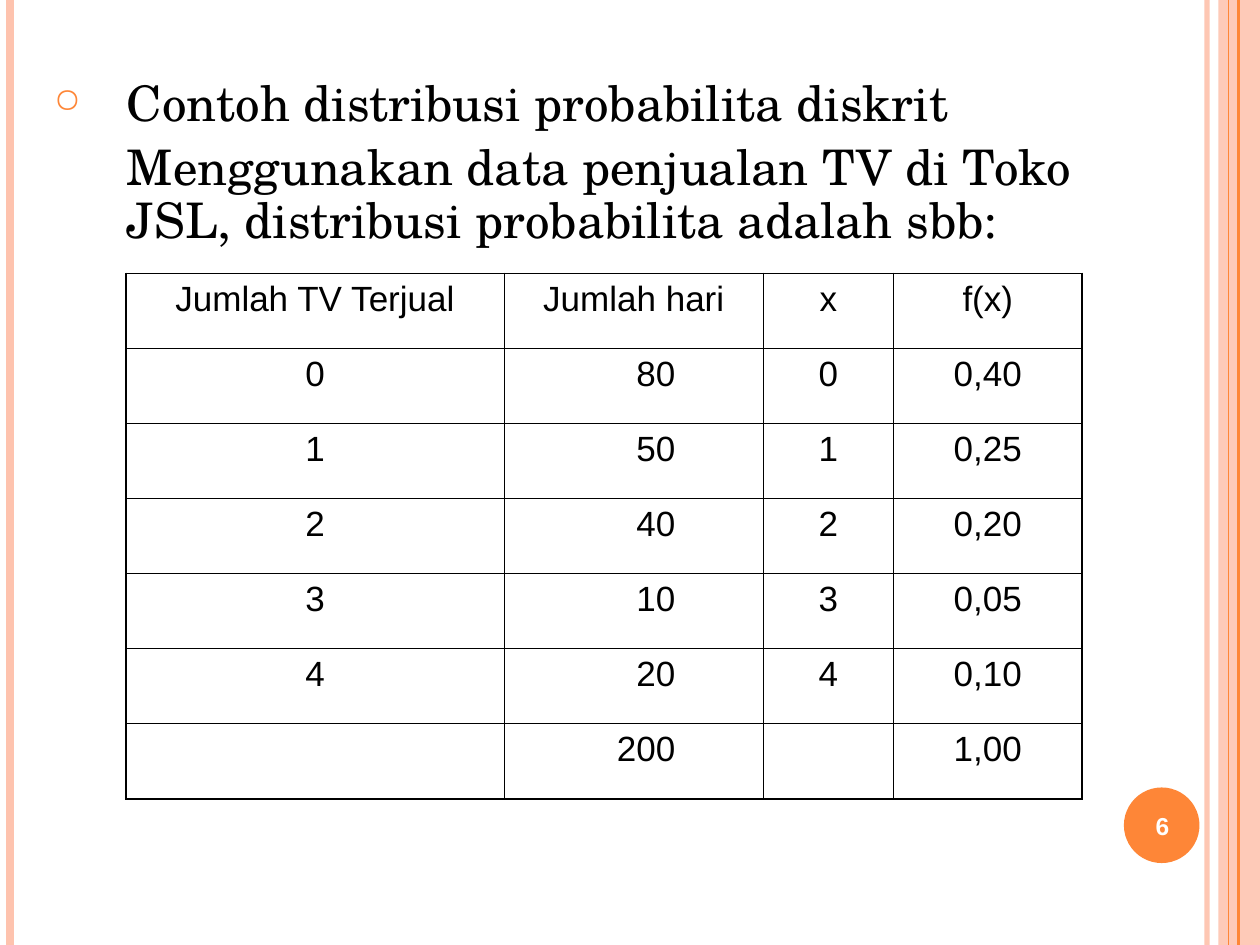
import pptx
import pptx.util
import pptx.dml.color
import pptx.enum.shapes
import pptx.enum.text
import pptx.oxml
import pptx.oxml.ns

Inches = pptx.util.Inches
Pt = pptx.util.Pt
Align = pptx.enum.text.PP_ALIGN
Shape = pptx.enum.shapes.MSO_SHAPE
qn = pptx.oxml.ns.qn


def color(hex_value):
    return pptx.dml.color.RGBColor.from_string(hex_value)


def add_xml(parent, tag, content="", attributes=""):
    namespace = pptx.oxml.ns.nsdecls("a")
    parent.append(pptx.oxml.parse_xml(f"<a:{tag} {namespace} {attributes}>{content}</a:{tag}>"))


presentation = pptx.Presentation()
presentation.slide_width = Inches(10)
presentation.slide_height = Inches(7.5)
width, height = presentation.slide_width, presentation.slide_height
slide = presentation.slides.add_slide(presentation.slide_layouts[6])
shapes = slide.shapes

band = shapes.add_shape(Shape.RECTANGLE, Inches(9.67), 0, width - Inches(9.67), height)
badge = shapes.add_shape(Shape.OVAL, Inches(8.92), Inches(6.25), Inches(0.6), Inches(0.6))
for ornament, tint in ((band, "FEC3AE"), (badge, "FE8637")):
    ornament.shadow.inherit = False
    ornament.fill.solid()
    ornament.fill.fore_color.rgb = color(tint)
    ornament.line.fill.background()
add_xml(band.fill._xPr.find(qn("a:solidFill"))[0], "alpha", attributes='val="87000"')

for x, tint, weight, opacity in (
    (9.58, "FEC3AE", 3, 93),
    (0.08, "FEC3AE", 4.5, 100),
    (9.83, "FE8637", 1.5, 100),
    (9.75, "FE8637", 0.75, 100),
):
    stripe = shapes.add_connector(
        pptx.enum.shapes.MSO_CONNECTOR.STRAIGHT, Inches(x), 0, Inches(x), height)
    stripe.line.color.rgb = color(tint)
    stripe.line.width = Pt(weight)
    if opacity < 100:
        tint_element = stripe.line._ln.find(qn("a:solidFill"))[0]
        add_xml(tint_element, "alpha", attributes=f'val="{opacity * 1000}"')
    add_xml(stripe._element.spPr, "effectLst")

intro = shapes.add_textbox(Inches(0.33), Inches(0.58), Inches(9.17), Inches(6.25)).text_frame
intro.word_wrap = True
intro.text = (
    "Contoh distribusi probabilita diskrit\n"
    "Menggunakan data penjualan TV di Toko JSL, distribusi probabilita adalah sbb:"
)
heading, explanation = intro.paragraphs
explanation.space_before = Pt(6)
for paragraph, indent in ((heading, -0.58), (explanation, 0)):
    paragraph.line_spacing = 0.9
    properties = paragraph._p.get_or_add_pPr()
    properties.set("marL", str(Inches(0.58)))
    properties.set("indent", str(Inches(indent)))
    if paragraph is heading:
        add_xml(properties, "buClr", '<a:srgbClr val="FE8637"/>')
        add_xml(properties, "buSzPct", attributes='val="70000"')
        add_xml(properties, "buChar", attributes='char="○"')
    else:
        add_xml(properties, "buNone")
    paragraph.font.name = "TeX Gyre Schola"
    paragraph.font.size = Pt(28)
    paragraph.font.color.rgb = color("000000")

sales = [
    ["Jumlah TV Terjual", "Jumlah hari", "x", "f(x)"],
    ["0", "80", "0", "0,40"],
    ["1", "50", "1", "0,25"],
    ["2", "40", "2", "0,20"],
    ["3", "10", "3", "0,05"],
    ["4", "20", "4", "0,10"],
    ["", "200", "", "1,00"],
]
column_widths = [3, 2.06, 1.03, 1.5]
last_row, last_column = len(sales) - 1, len(column_widths) - 1
distribution = shapes.add_table(
    len(sales), len(column_widths), Inches(1), Inches(2.17),
    Inches(sum(column_widths)), Inches(4.17)).table
distribution.first_row = False
distribution.horz_banding = False
for column, column_width in zip(distribution.columns, column_widths):
    column.width = Inches(column_width)

for r, record in enumerate(sales):
    for c, entry in enumerate(record):
        cell = distribution.cell(r, c)
        cell.text = entry
        is_day_count = c == 1 and r > 0
        paragraph = cell.text_frame.paragraphs[0]
        paragraph.alignment = Align.RIGHT if is_day_count else Align.CENTER
        paragraph.font.name = "Arial"
        paragraph.font.size = Pt(20)
        paragraph.font.color.rgb = color("000000")
        cell.margin_right = Inches(0.7 if is_day_count else 0.1)
        outer_edges = {"lnL": c == 0, "lnR": c == last_column, "lnT": r == 0, "lnB": r == last_row}
        for edge, is_outer in outer_edges.items():
            add_xml(cell._tc.get_or_add_tcPr(), edge,
                    '<a:solidFill><a:srgbClr val="000000"/></a:solidFill>',
                    f'w="{Pt(1.08 if is_outer else 0.45)}"')
        cell.fill.background()

page_number = shapes.add_textbox(Inches(8.89), Inches(6.27), Inches(0.67), Inches(0.57)).text_frame
page_number.word_wrap = True
page_number.vertical_anchor = pptx.enum.text.MSO_ANCHOR.MIDDLE
page_number.text = "6"
number = page_number.paragraphs[0]
number.alignment = Align.CENTER
number.font.name = "Arial"
number.font.size = Pt(14)
number.font.bold = True
number.font.color.rgb = color("FFFFFF")

presentation.save("out.pptx")
